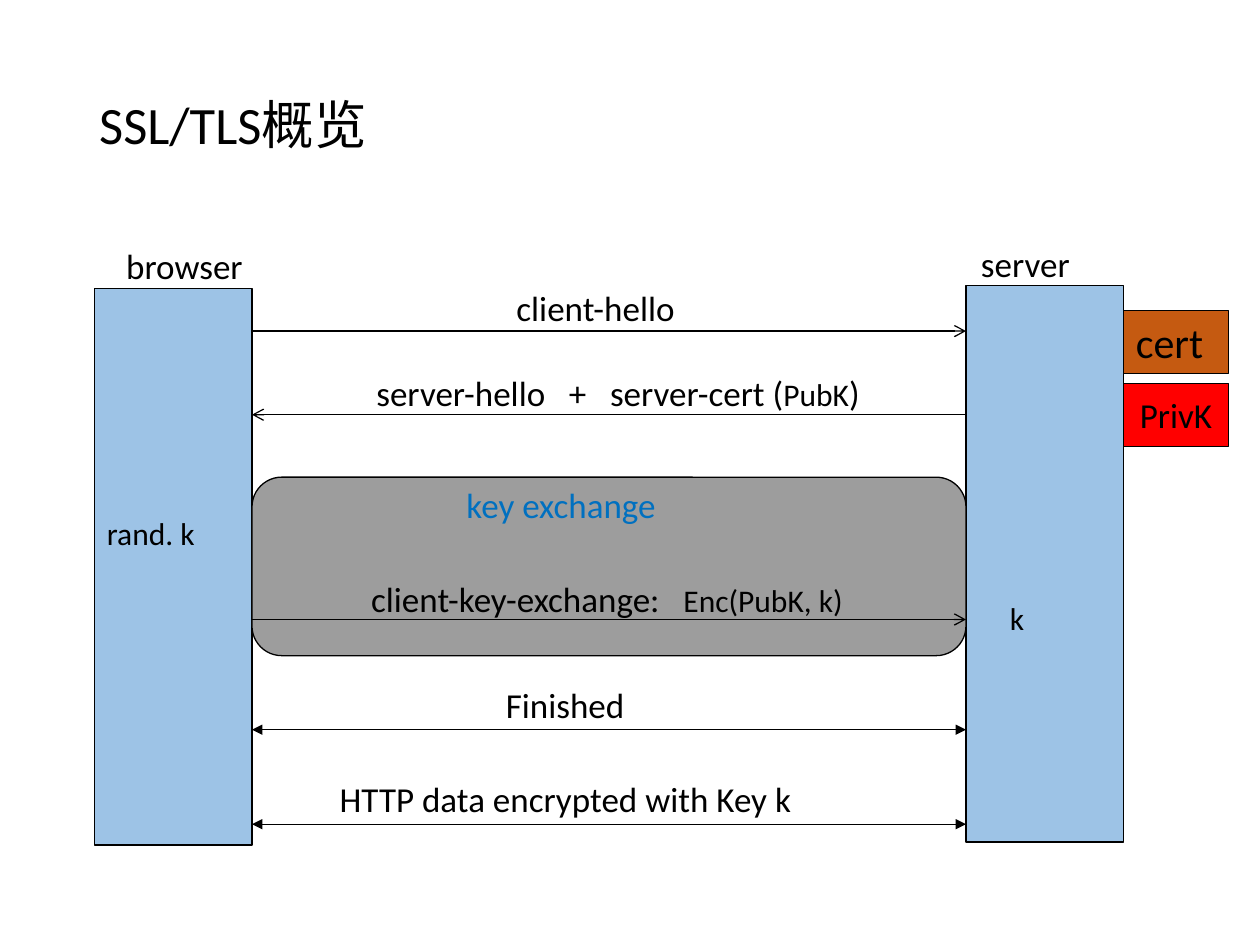
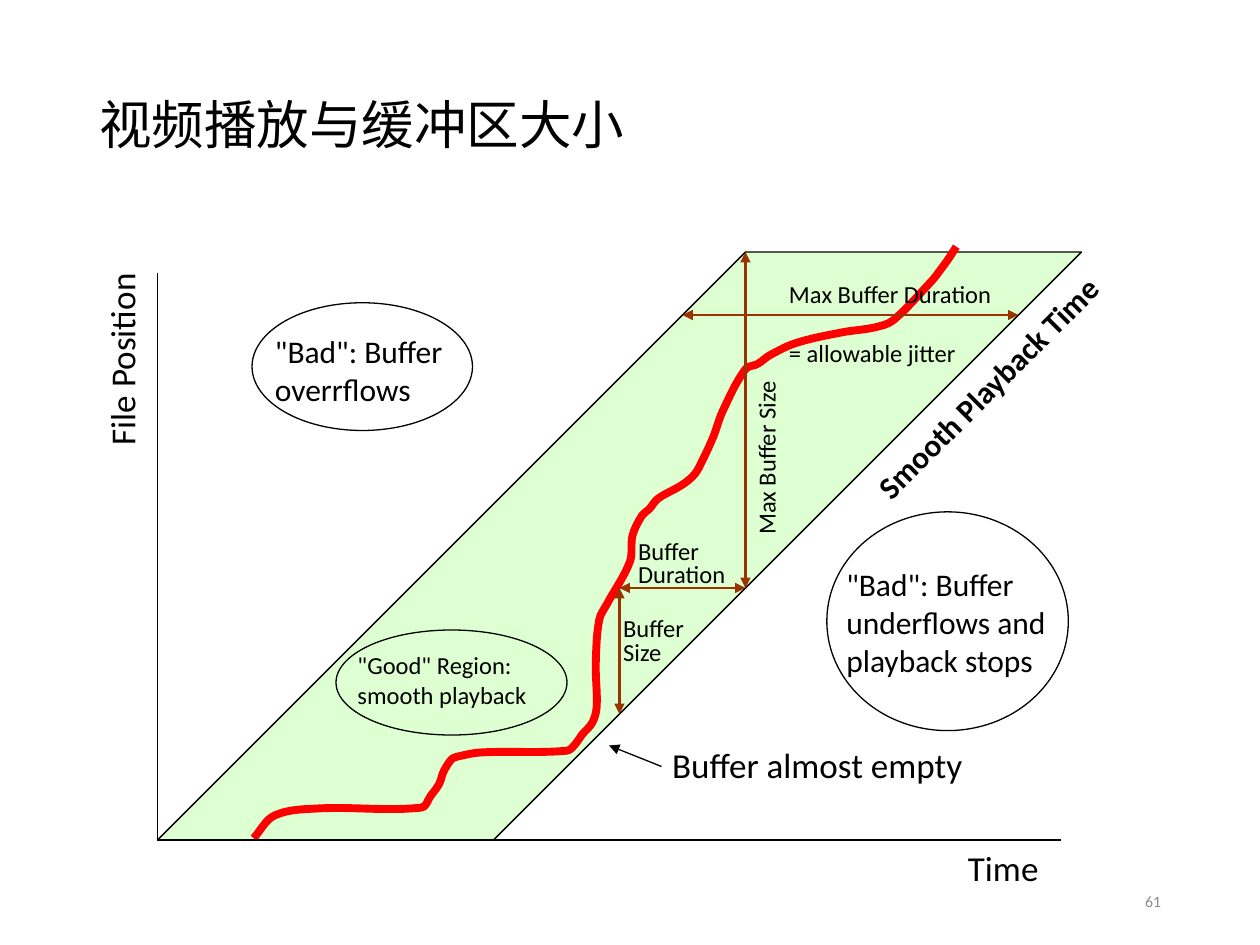
import math
from dataclasses import dataclass

from lxml import etree
from pptx import Presentation
from pptx.dml.color import RGBColor
from pptx.enum import shapes as kinds, text as txt
from pptx.oxml import ns
from pptx.util import Pt


@dataclass(frozen=True)
class Theme:
    font: str = "Calibri"
    ink: str = "000000"
    party: str = "9DC3E6"
    exchange: str = "9D9D9D"
    accent: str = "0070C0"
    cert: str = "C55A11"
    secret: str = "FF0000"
    region: str = "DEFFD2"
    measure: str = "993300"
    muted: str = "8C8C8C"
    title_size: float = 30
    big: float = 24
    label: float = 20
    text: float = 18
    small: float = 14
    page: float = 9
    hairline: float = 0.75
    measure_line: float = 1.5
    curve_line: float = 4.5


T = Theme()
TITLE_ONLY = 5


@dataclass(frozen=True)
class Box:
    left: float
    top: float
    width: float
    height: float

    def at(self, x, y):
        return Pt(self.left + x), Pt(self.top + y)

    def place(self, x, y, width, height):
        return *self.at(x, y), Pt(width), Pt(height)


TITLE = Box(49.5, 28.8, 621, 88.5)
PAGE_NUMBER = Box(508.5, 500.5, 162, 28.8)
HANDSHAKE = Box(54, 136, 648, 347)
PLOT = Box(90, 144, 528, 336)


def add_run(paragraph, words, size, color=T.ink, bold=False):
    run = paragraph.add_run()
    run.text = words
    run.font.name = T.font
    run.font.size = Pt(size)
    run.font.bold = bold
    run.font.color.rgb = RGBColor.from_string(color)


def add_lines(paragraph, lines, size, color=T.ink, bold=False):
    """Write lines parted by line breaks into one paragraph."""
    for index, line in enumerate(lines):
        if index:
            paragraph.add_line_break()
        add_run(paragraph, line, size, color, bold)


def add_label(slide, place, *lines, size=T.label, color=T.ink, bold=False,
              wrap=False, turn=0, spacing=None):
    label = slide.shapes.add_textbox(*place)
    label.rotation = turn
    frame = label.text_frame
    frame.word_wrap = wrap
    frame.auto_size = txt.MSO_AUTO_SIZE.SHAPE_TO_FIT_TEXT
    paragraph = frame.paragraphs[0]
    if spacing:
        paragraph.line_spacing = spacing
    add_lines(paragraph, lines, size, color, bold)
    return frame


def set_tabs(paragraph, stops):
    tabs = etree.SubElement(paragraph._p.get_or_add_pPr(), ns.qn("a:tabLst"))
    for stop in stops:
        etree.SubElement(tabs, ns.qn("a:tab"), pos=str(Pt(stop)), algn="l")


def style(shape, fill=None, line=T.ink, width=T.hairline):
    shape.shadow.inherit = False
    if fill:
        shape.fill.solid()
        shape.fill.fore_color.rgb = RGBColor.from_string(fill)
    else:
        shape.fill.background()
    shape.line.color.rgb = RGBColor.from_string(line)
    shape.line.width = Pt(width)
    return shape


def add_preset(slide, kind, place, fill=None):
    return style(slide.shapes.add_shape(kind, *place), fill)


def add_outline(slide, box, points, close=False, **look):
    start, *rest = [box.at(x, y) for x, y in points]
    builder = slide.shapes.build_freeform(*start)
    builder.add_line_segments(rest, close=close)
    return style(builder.convert_to_shape(), **look)


def add_arrow(slide, box, start, end, head=None, tail=None,
              color=T.ink, width=T.hairline):
    arrow = slide.shapes.add_connector(
        kinds.MSO_CONNECTOR.STRAIGHT, *box.at(*start), *box.at(*end))
    arrow.line.color.rgb = RGBColor.from_string(color)
    arrow.line.width = Pt(width)
    stroke = arrow.line._get_or_add_ln()
    for tag, tip in (("a:headEnd", head), ("a:tailEnd", tail)):
        if tip:
            etree.SubElement(stroke, ns.qn(tag), type=tip)
    etree.SubElement(arrow._element.spPr, ns.qn("a:effectLst"))


def add_titled_slide(deck, words):
    slide = deck.slides.add_slide(deck.slide_layouts[TITLE_ONLY])
    title = slide.shapes.title
    title.left, title.top, title.width, title.height = TITLE.place(
        0, 0, TITLE.width, TITLE.height)
    frame = title.text_frame
    frame.vertical_anchor = txt.MSO_ANCHOR.MIDDLE
    paragraph = frame.paragraphs[0]
    paragraph.alignment = txt.PP_ALIGN.LEFT
    paragraph.line_spacing = 0.9
    add_run(paragraph, words, T.title_size)
    return slide


def add_page_number(slide, number):
    place = PAGE_NUMBER.place(0, 0, PAGE_NUMBER.width, PAGE_NUMBER.height)
    frame = slide.shapes.add_textbox(*place).text_frame
    frame.word_wrap = True
    frame.vertical_anchor = txt.MSO_ANCHOR.MIDDLE
    frame.paragraphs[0].alignment = txt.PP_ALIGN.RIGHT
    add_run(frame.paragraphs[0], number, T.page, T.muted)


def draw_parties(slide, box):
    rect = kinds.MSO_SHAPE.RECTANGLE
    for x, y in ((0, 29), (498, 27.2)):
        add_preset(slide, rect, box.place(x, y, 90, 318), T.party)
    add_label(slide, box.place(11, 0, 82, 31.5), "browser")
    add_label(slide, box.place(499.5, -1, 66, 31.5), "server")
    add_label(slide, box.place(0, 154, 90, 29), "rand. k",
              size=T.text, wrap=True)
    add_label(slide, box.place(516, 202.5, 23, 29), "k", size=T.text)

    holdings = (
        ("cert", 41.3, T.cert, T.big, txt.MSO_ANCHOR.TOP, txt.PP_ALIGN.LEFT),
        ("PrivK", 83, T.secret, T.label, txt.MSO_ANCHOR.MIDDLE,
         txt.PP_ALIGN.CENTER),
    )
    for words, y, fill, size, anchor, align in holdings:
        holding = add_preset(slide, rect, box.place(588, y, 60, 36), fill)
        frame = holding.text_frame
        frame.word_wrap = False
        frame.vertical_anchor = anchor
        frame.paragraphs[0].alignment = align
        add_run(frame.paragraphs[0], words, size)


def draw_messages(slide, box):
    browser_edge, server_edge = 90, 498
    add_preset(slide, kinds.MSO_SHAPE.ROUNDED_RECTANGLE,
               box.place(browser_edge, 136.7, server_edge - browser_edge, 102),
               T.exchange)
    add_label(slide, box.place(205.5, 137, 124, 31.5), "key exchange",
              color=T.accent)

    to_server = {"tail": "arrow"}
    to_browser = {"head": "arrow"}
    both = {"head": "triangle", "tail": "triangle"}
    messages = (
        (53.2, 24, to_server, 234, 106.5, (), [("client-hello", T.label)]),
        (101, 73, to_browser, 154, 310, (110, 133.5),
         [("server-hello\t+\tserver-cert (", T.label), ("PubK", T.text),
          (")", T.label)]),
        (218, 190.5, to_server, 151, 310, (178.5,),
         [("client-key-exchange:\t", T.label), ("Enc(PubK, k)", T.text)]),
        (281, 251, both, 228, 83, (), [("Finished", T.label)]),
        (335, 305, both, 133, 275, (),
         [("HTTP data encrypted with Key k", T.label)]),
    )
    for y, label_top, tips, x, width, tabs, runs in messages:
        add_arrow(slide, box, (browser_edge, y), (server_edge, y), **tips)
        frame = add_label(slide, box.place(x, label_top, width, 31.5),
                          wrap=bool(tabs))
        paragraph = frame.paragraphs[0]
        if tabs:
            set_tabs(paragraph, tabs)
        for words, size in runs:
            add_run(paragraph, words, size)


PLAYBACK = (
    (55, 335), (67, 322), (92, 318), (151, 317.5), (156, 311), (161, 304),
    (163.5, 297), (168, 290), (171, 288.5), (185, 286), (234, 285),
    (239, 281), (242.5, 276), (248.5, 269), (251, 260), (250.5, 235),
    (252.5, 210), (257, 201), (270, 177), (271.5, 162), (277, 150.5),
    (281, 147), (286, 141), (300, 133), (307, 127), (311, 120), (317.5, 106),
    (323, 91), (336, 67), (343, 64), (350, 59), (365, 52), (391, 46),
    (410.5, 43), (420.5, 39), (443, 16), (446.5, 11.5), (452, 4), (456.5, -3),
)


def bend(curve):
    """Turn straight segments into arcs, with handles a third as long."""
    corners = list(curve._element.iter(ns.qn("a:pt")))
    knots = [(int(p.get("x")), int(p.get("y"))) for p in corners]
    befores, afters = [knots[0], *knots], [*knots[1:], knots[-1]]
    headings = [math.atan2(after[1] - before[1], after[0] - before[0])
                for before, after in zip(befores, afters)]
    for i, corner in enumerate(corners[1:]):
        reach = math.dist(knots[i], knots[i + 1]) / 3
        segment = corner.getparent()
        segment.tag = ns.qn("a:cubicBezTo")
        for index, (knot, sign) in enumerate(((i, 1), (i + 1, -1))):
            x, y = knots[knot]
            handle = etree.Element(
                ns.qn("a:pt"),
                x=str(round(x + sign * reach * math.cos(headings[knot]))),
                y=str(round(y + sign * reach * math.sin(headings[knot]))))
            segment.insert(index, handle)


def draw_region(slide, box):
    """Axes, the band of good playback and the playback curve."""
    floor, band = box.height, 192
    full, empty = [((x, floor), (x + floor, 0)) for x in (0, band)]
    add_outline(slide, box, (*full, *reversed(empty)), close=True,
                fill=T.region)
    bend(add_outline(slide, box, PLAYBACK, line=T.secret,
                     width=T.curve_line))
    add_outline(slide, box, ((0, 12), (0, floor), (516.3, floor)))
    for limit in (full, empty):
        add_arrow(slide, box, *limit)

    corner, now = 336, 264
    measures = (
        ((floor - 36, 36), (floor - 36 + band, 36)),
        ((corner, band), (corner, 0)),
        ((now, band), (corner, band)),
        ((now, now), (now, band)),
    )
    for start, end in measures:
        add_arrow(slide, box, start, end, "triangle", "triangle",
                  T.measure, T.measure_line)
    add_arrow(slide, box, (288, 294), (258, 282), tail="triangle")


def draw_notes(slide, box):
    for oval in ((102, 216, 132, 60), (382.5, 148.5, 138, 125),
                 (54, 29, 126, 73)):
        add_preset(slide, kinds.MSO_SHAPE.OVAL, box.place(*oval))

    tight = {"size": T.small, "spacing": 0.8}
    labels = (
        ((456, 336, 59, 31), ["Time"], {}),
        ((-82.7, 39.5, 124.5, 31.5), ["File Position"], {"turn": 270}),
        ((291.7, 100.2, 112.5, 24.5), ["Max Buffer Size"],
         {"size": T.small, "turn": 270}),
        ((379.5, 55.5, 205, 29), ["Smooth Playback Time"],
         {"size": T.text, "bold": True, "turn": 315}),
        ((287, 277.5, 200, 31.5), ["Buffer almost empty"], {}),
        ((107.2, 224, 121.5, 41), ['"Good" Region:', "smooth playback"],
         {"size": T.small}),
        ((386.5, 175.3, 162, 73),
         ['"Bad": Buffer underflows and ', "playback stops"],
         {"size": T.text, "wrap": True}),
        ((60, 42, 162, 51), ['"Bad": Buffer overrflows'],
         {"size": T.text, "wrap": True}),
        ((267.6, 161.8, 69, 35), ["Buffer ", "Duration"], tight),
        ((259, 206, 54, 35), ["Buffer", "Size"], tight),
    )
    for place, lines, look in labels:
        add_label(slide, box.place(*place), *lines, **look)

    jitter = add_label(slide, box.place(353.8, 12, 141, 58),
                       "Max Buffer Duration", size=T.small)
    allowance = jitter.add_paragraph()
    allowance.space_before = Pt(17)
    add_run(allowance, "= allowable jitter", T.small)


def main():
    deck = Presentation()
    deck.slide_width, deck.slide_height = Pt(720), Pt(540)

    tls = add_titled_slide(deck, "SSL/TLS概览")
    draw_parties(tls, HANDSHAKE)
    draw_messages(tls, HANDSHAKE)

    buffering = add_titled_slide(deck, "视频播放与缓冲区大小")
    draw_region(buffering, PLOT)
    draw_notes(buffering, PLOT)
    add_page_number(buffering, "61")

    deck.save("out.pptx")


if __name__ == "__main__":
    main()
